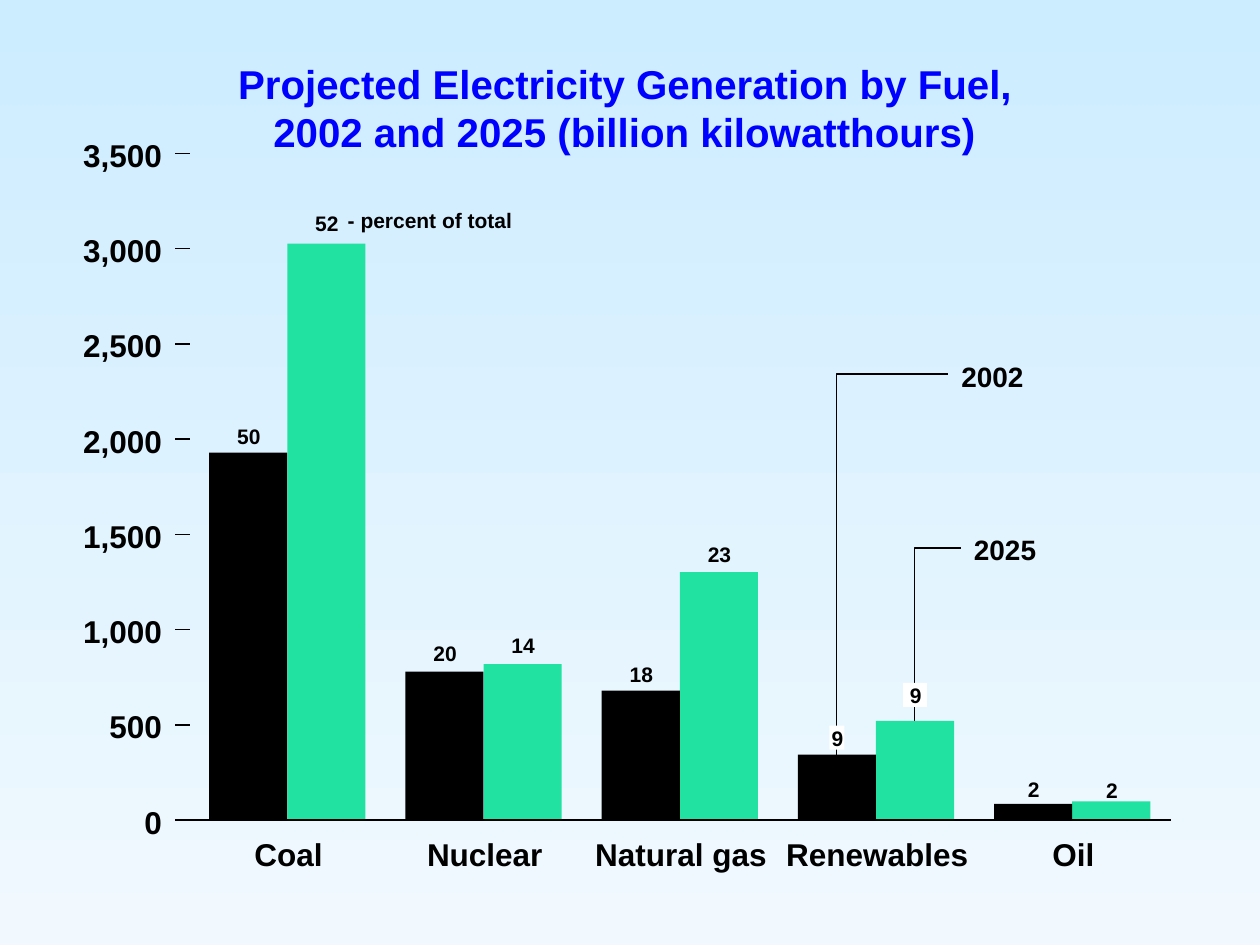
from typing import NamedTuple

from lxml.etree import SubElement
from pptx import Presentation
from pptx.dml.color import RGBColor
from pptx.enum.shapes import MSO_CONNECTOR as Connector, MSO_SHAPE as Shape
from pptx.enum.text import MSO_AUTO_SIZE as AutoSize, PP_ALIGN as Align
from pptx.oxml.ns import qn
from pptx.util import Inches, Pt

BLACK = RGBColor(0x00, 0x00, 0x00)
WHITE = RGBColor(0xFF, 0xFF, 0xFF)
GREEN = RGBColor(0x22, 0xE2, 0xA1)
BLUE = RGBColor(0x00, 0x00, 0xFF)
SKY = RGBColor(0xCC, 0xEC, 0xFF)
MIST = RGBColor(0xF1, 0xF9, 0xFE)

LINE_WIDTH = Pt(0.88)
BASELINE = 6.51
TICK_GAP = 0.756
TICK_VALUE = 500
TICK_LEFT, AXIS_LEFT, AXIS_RIGHT = 1.39, 1.51, 9.29
FIRST_BAR, GROUP_STEP, BAR_WIDTH = 1.66, 1.5575, 0.62
DIGIT_WIDTH, LABEL_HEIGHT = 0.095, 0.2
TEXT_SLACK = 0.08
SLACK_BEFORE = {Align.LEFT: 0, Align.CENTER: TEXT_SLACK / 2, Align.RIGHT: TEXT_SLACK}
FRAME_FORMAT = dict(margin_left=0, margin_top=0, margin_right=0, margin_bottom=0,
                    word_wrap=False, auto_size=AutoSize.NONE)


class Bar(NamedTuple):
    value: int
    share: str
    label_top: float
    patch_width: float = 0


class Fuel(NamedTuple):
    name: str
    label_width: float
    in_2002: Bar
    in_2025: Bar


class Leader(NamedTuple):
    year: str
    x: float
    top: float
    bottom: float
    right: float
    label_left: float


class Caption(NamedTuple):
    text: str
    left: float
    top: float
    width: float
    height: float
    size: int
    color: RGBColor


FUELS = [
    Fuel("Coal", 0.54, Bar(1930, "50", 3.36), Bar(3027, "52", 1.67)),
    Fuel("Nuclear", 0.92, Bar(780, "20", 5.08), Bar(820, "14", 5.02)),
    Fuel("Natural gas", 1.36, Bar(681, "18", 5.25), Bar(1302, "23", 4.3)),
    Fuel("Renewables", 1.45, Bar(344, "9", 5.76, 0.12), Bar(522, "9", 5.42, 0.19)),
    Fuel("Oil", 0.33, Bar(86, "2", 6.16), Bar(99, "2", 6.17)),
]
LEADERS = [
    Leader("2025", 7.26, 4.35, 6.26, 7.63, 7.73),
    Leader("2002", 6.64, 2.97, 6.18, 7.52, 7.63),
]
CAPTIONS = [
    Caption("Projected Electricity Generation by Fuel,", 1.89, 0.47, 6.15, 0.38, 23, BLUE),
    Caption("2002 and 2025 (billion kilowatthours)", 2.17, 0.85, 5.58, 0.38, 23, BLUE),
    Caption("- percent of total", 2.76, 1.65, 1.31, 0.2, 12, BLACK),
]


def add_text(page, text: str, left: float, top: float, width: float, height: float,
             size: int, color: RGBColor = BLACK, align: Align = Align.LEFT) -> None:
    """Place one line of text, with slack so that it never wraps."""
    box = page.shapes.add_textbox(Inches(left - SLACK_BEFORE[align]), Inches(top),
                                  Inches(width + TEXT_SLACK), Inches(height))
    for name, value in FRAME_FORMAT.items():
        setattr(box.text_frame, name, value)
    para = box.text_frame.paragraphs[0]
    para.alignment = align
    span = para.add_run()
    span.text = text
    for name, value in dict(name="Arial", size=Pt(size), bold=True).items():
        setattr(span.font, name, value)
    span.font.color.rgb = color


def add_block(page, left: float, top: float, width: float, height: float,
              color: RGBColor) -> None:
    block = page.shapes.add_shape(Shape.RECTANGLE, Inches(left), Inches(top),
                                  Inches(width), Inches(height))
    block.shadow.inherit = False
    block.fill.solid()
    block.fill.fore_color.rgb = color
    block.line.fill.background()


def style_line(line) -> None:
    line.color.rgb = BLACK
    line.width = LINE_WIDTH


def add_rule(page, left: float, right: float, y: float) -> None:
    """Draw a horizontal axis line or tick."""
    rule = page.shapes.add_connector(Connector.STRAIGHT, Inches(left), Inches(y),
                                     Inches(right), Inches(y))
    style_line(rule.line)
    SubElement(rule._element.spPr, qn("a:effectLst"))


def add_leader(page, leader: Leader) -> None:
    """Draw the bent line from a bar to its year, with the year."""
    x, top = Inches(leader.x), Inches(leader.top)
    builder = page.shapes.build_freeform(x, Inches(leader.bottom))
    builder.add_line_segments([(x, top), (Inches(leader.right), top)], close=False)
    bend = builder.convert_to_shape()
    bend.shadow.inherit = False
    bend.fill.background()
    style_line(bend.line)
    add_text(page, leader.year, leader.label_left, leader.top - 0.12, 0.49, 0.27, 16)


def add_bar(page, bar: Bar, left: float, color: RGBColor) -> None:
    height = bar.value / TICK_VALUE * TICK_GAP
    add_block(page, left, BASELINE - height, BAR_WIDTH, height, color)
    center = left + BAR_WIDTH / 2
    if bar.patch_width:
        add_block(page, center - bar.patch_width / 2, bar.label_top,
                  bar.patch_width, 0.19, WHITE)
    width = DIGIT_WIDTH * len(bar.share)
    add_text(page, bar.share, center + 0.005 - width / 2, bar.label_top,
             width, LABEL_HEIGHT, 12, align=Align.CENTER)


def add_fuel(page, fuel: Fuel, left: float) -> None:
    middle = left + BAR_WIDTH
    add_bar(page, fuel.in_2025, middle, GREEN)
    add_bar(page, fuel.in_2002, left, BLACK)
    add_text(page, fuel.name, middle + 0.01 - fuel.label_width / 2, 6.63,
             fuel.label_width, 0.3, 18, align=Align.CENTER)


def add_axes(page) -> None:
    for step in range(8):
        y = BASELINE - step * TICK_GAP
        label = f"{step * TICK_VALUE:,}"
        width = {1: 0.14, 3: 0.42, 5: 0.63}[len(label)]
        add_rule(page, TICK_LEFT, AXIS_LEFT, y)
        add_text(page, label, 1.285 - width, y - 0.14, width, 0.3, 18, align=Align.RIGHT)
    add_rule(page, AXIS_LEFT, AXIS_RIGHT, BASELINE)


def paint_background(page) -> None:
    fill = page.background.fill
    fill.gradient()
    fill.gradient_angle = 270
    for stop, color in zip(fill.gradient_stops, (SKY, MIST)):
        stop.color.rgb = color


def main() -> None:
    deck = Presentation()
    deck.slide_width, deck.slide_height = Inches(10), Inches(7.5)
    page = deck.slides.add_slide(deck.slide_layouts[6])
    paint_background(page)
    for leader in LEADERS:
        add_leader(page, leader)
    for index, fuel in enumerate(FUELS):
        add_fuel(page, fuel, FIRST_BAR + index * GROUP_STEP)
    add_axes(page)
    for caption in CAPTIONS:
        add_text(page, *caption)
    deck.save("out.pptx")


if __name__ == "__main__":
    main()
